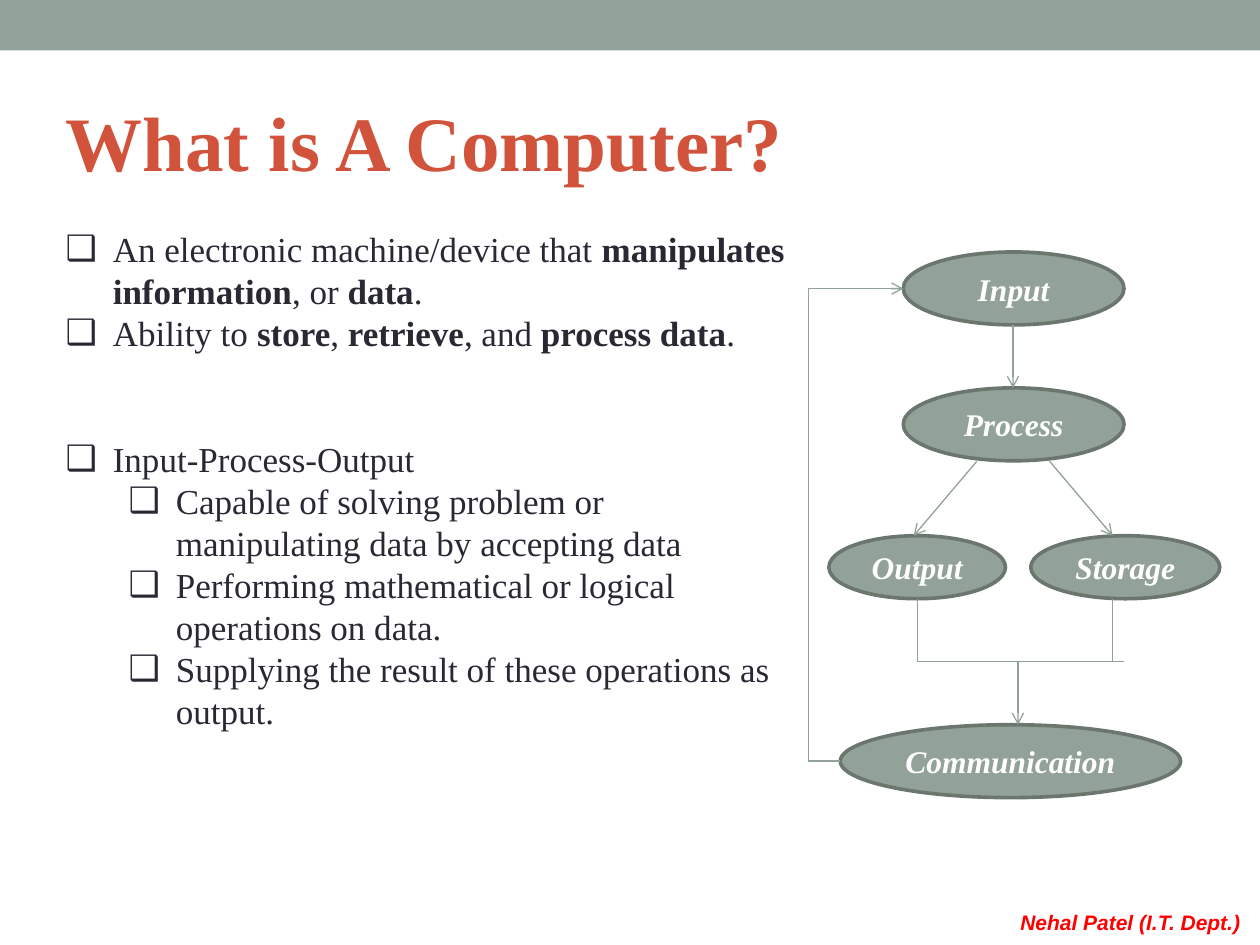
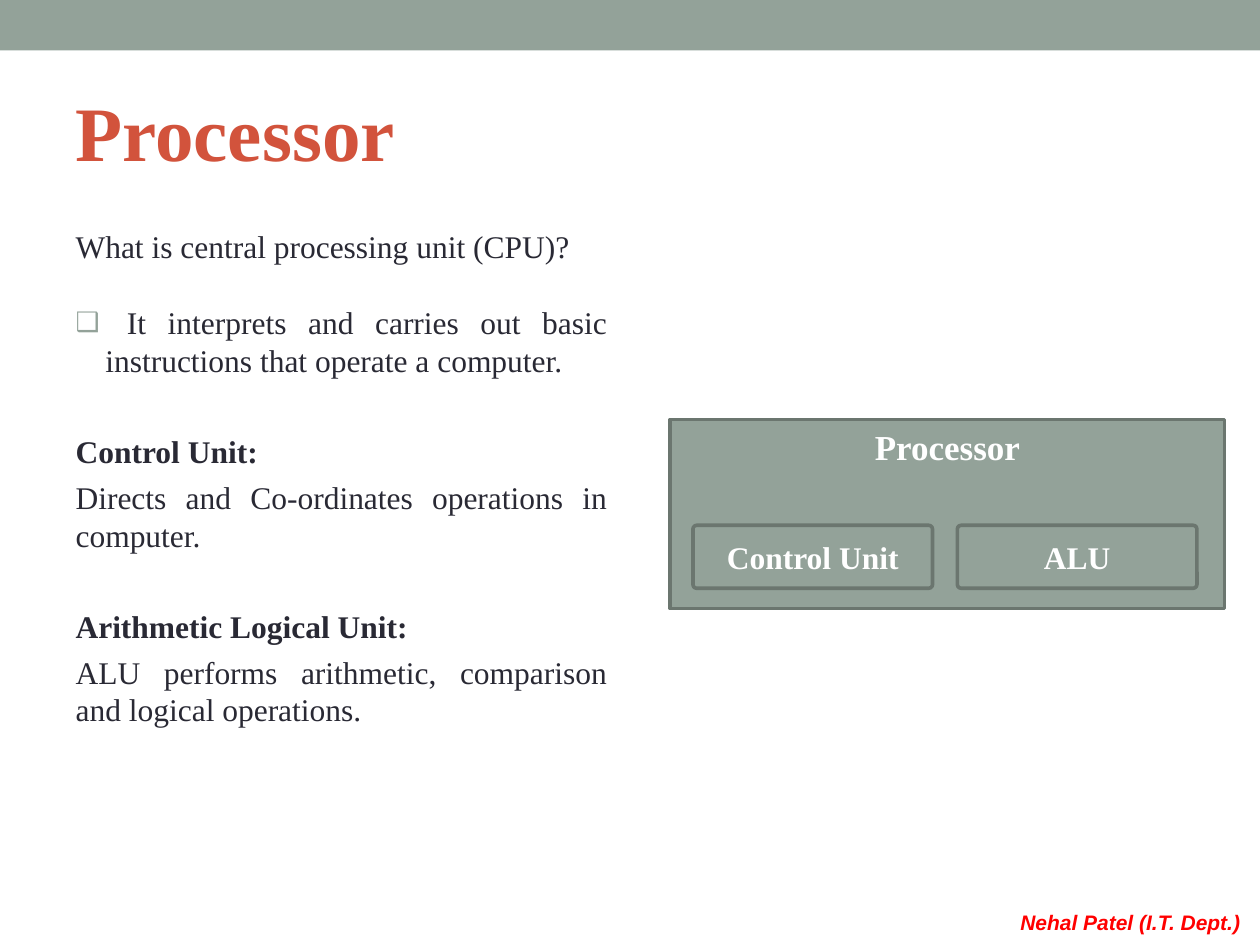
"""Build two slides on what a computer and its processor are."""
from dataclasses import dataclass, field
from typing import Any

from lxml.etree import SubElement as Sub
from pptx import Presentation
from pptx.dml.color import RGBColor as Rgb
from pptx.enum.shapes import MSO_CONNECTOR as Link, MSO_SHAPE as Form
from pptx.enum.text import MSO_ANCHOR as Anchor, MSO_AUTO_SIZE as Fit, PP_ALIGN as Align
from pptx.oxml.ns import qn
from pptx.util import Cm, Pt

HUES = {"sage": "93A299", "edge": "6B766F", "rust": "D2533C",
        "ink": "292934", "white": "FFFFFF", "red": "FF0000"}
SERIF = "Times New Roman"
HEAD = {"name": SERIF, "size": Pt(44), "bold": True}
FOOT = {"name": "Arial", "size": Pt(12), "bold": True, "italic": True}
NODE = {"name": SERIF, "size": Pt(18), "bold": True}
OVAL = {**NODE, "italic": True}
FRAME = {**NODE, "size": Pt(20)}


@dataclass
class Area:
    left: float
    top: float
    width: float
    height: float

    def cms(self) -> list[Cm]:
        return [Cm(v) for v in (self.left, self.top, self.width, self.height)]


@dataclass
class Node:
    text: str
    area: Area
    form: Any = Form.OVAL
    style: dict = field(default_factory=lambda: OVAL)
    anchor: Any = Anchor.MIDDLE


@dataclass
class Wire:
    start: tuple[float, float]
    end: tuple[float, float]
    arrow: bool = False
    bend: int = 0


@dataclass
class Item:
    text: str
    gap: float = 0
    level: int = 0
    inset: float = 0
    hang: float = 0
    mark: str = ""
    scale: int = 100


def point(text: str, gap: float = 0, level: int = 0) -> Item:
    return Item(text, gap, level, 0.95 + 1.27 * level, 0.95, "ink")


FACTS = [
    point("An electronic machine/device that **manipulates information**, or **data**."),
    point("Ability to **store**, **retrieve**, and **process data**."),
    point("Input-Process-Output", 48),
    point("Capable of solving problem or manipulating data by accepting data", level=1),
    point("Performing mathematical or logical operations on data.", level=1),
    point("Supplying the result of these operations as output.", level=1),
]
UNITS = [
    Item("What is central processing unit (CPU)?"),
    Item(" It interprets and carries out basic instructions that operate a computer.",
         22, inset=0.6, hang=0.6, mark="sage", scale=85),
    Item("**Control Unit:**", 30.5),
    Item("Directs and Co-ordinates operations in computer.", 4.5),
    Item("**Arithmetic Logical Unit:**", 30.5),
    Item("ALU performs arithmetic, comparison and logical operations.", 4.5),
]
STEPS = [
    Node("Input", Area(18.21, 5.08, 4.45, 1.47)),
    Node("Process", Area(18.21, 7.82, 4.45, 1.47)),
    Node("Output", Area(16.71, 10.8, 3.56, 1.27)),
    Node("Storage", Area(20.78, 10.8, 3.81, 1.27)),
    Node("Communication", Area(16.94, 14.61, 6.86, 1.47)),
]
WIRES = [
    Wire((20.42, 6.55), (20.42, 7.82), True),
    Wire((19.69, 9.3), (18.42, 10.8), True),
    Wire((21.16, 9.3), (22.43, 10.8), True),
    Wire((18.49, 12.07), (18.49, 13.34)),
    Wire((22.43, 12.07), (22.43, 13.34)),
    Wire((18.49, 13.34), (22.66, 13.34)),
    Wire((20.52, 13.34), (20.52, 14.61), True),
    Wire((16.94, 15.34), (18.21, 5.82), True, -50000),
]
CHIP = [Node("Processor", Area(13.51, 8.46, 11.18, 3.81), Form.RECTANGLE, FRAME, Anchor.TOP)]
CHIP += [Node(text, Area(13.97 + 5.33 * i, 10.59, 4.83, 1.27), Form.ROUNDED_RECTANGLE, NODE)
         for i, text in enumerate(("Control Unit", "ALU"))]


def tint(hue: str) -> Rgb:
    return Rgb.from_string(HUES[hue])


def dress(font: Any, style: dict, hue: str) -> None:
    for key, value in style.items():
        setattr(font, key, value)
    font.color.rgb = tint(hue)


def place(shape: Any, area: Area) -> None:
    shape.left, shape.top, shape.width, shape.height = area.cms()


def add_band(slide: Any, layout: Any) -> None:
    band = slide.shapes.add_shape(Form.RECTANGLE, *Area(0, 0, 25.4, 1.02).cms())
    band.shadow.inherit = False
    band.fill.solid()
    band.fill.fore_color.rgb = tint("sage")
    band.line.fill.background()
    layout.shapes.element.append(band.element)


def add_title(slide: Any, text: str, left: float, top: float) -> None:
    title = slide.shapes.title
    place(title, Area(left, top, 22.86, 2.74))
    frame = title.text_frame
    frame.text = text
    frame.auto_size = Fit.NONE
    frame.vertical_anchor = Anchor.MIDDLE
    para = frame.paragraphs[0]
    para.alignment = Align.LEFT
    dress(para.runs[0].font, HEAD, "rust")


def set_mark(para: Any, item: Item) -> None:
    props = para._p.get_or_add_pPr()
    props.set("marL", str(Cm(item.inset)))
    props.set("indent", str(-Cm(item.hang)))
    if not item.mark:
        Sub(props, qn("a:buNone"))
        return
    Sub(Sub(props, qn("a:buClr")), qn("a:srgbClr"), val=HUES[item.mark])
    Sub(props, qn("a:buSzPct"), val=str(item.scale * 1000))
    Sub(props, qn("a:buFont"), typeface="Arial")
    Sub(props, qn("a:buChar"), char="❑")


def add_list(slide: Any, area: Area, items: list[Item], size: int, align: Any) -> None:
    body = slide.placeholders[1]
    place(body, area)
    frame = body.text_frame
    frame.auto_size = Fit.NONE
    for i, item in enumerate(items):
        para = frame.add_paragraph() if i else frame.paragraphs[0]
        set_mark(para, item)
        look = {"level": item.level, "alignment": align, "space_before": Pt(item.gap)}
        for key, value in look.items():
            setattr(para, key, value)
        for j, part in enumerate(item.text.split("**")):
            if part:
                run = para.add_run()
                run.text = part
                dress(run.font, {"name": SERIF, "size": Pt(size), "bold": j % 2 == 1}, "ink")


def add_node(slide: Any, node: Node) -> None:
    shape = slide.shapes.add_shape(node.form, *node.area.cms())
    shape.shadow.inherit = False
    shape.fill.solid()
    shape.fill.fore_color.rgb = tint("sage")
    shape.line.color.rgb = tint("edge")
    shape.line.width = Pt(2.07)
    if node.form == Form.ROUNDED_RECTANGLE:
        shape.adjustments[0] = 0.06
    frame = shape.text_frame
    frame.text = node.text
    frame.word_wrap = True
    frame.vertical_anchor = node.anchor
    para = frame.paragraphs[0]
    para.alignment = Align.CENTER
    dress(para.runs[0].font, node.style, "white")


def add_wire(slide: Any, wire: Wire) -> None:
    kind = Link.ELBOW if wire.bend else Link.STRAIGHT
    ends = [Cm(v) for v in (*wire.start, *wire.end)]
    link = slide.shapes.add_connector(kind, *ends)
    link.line.color.rgb = tint("sage")
    link.line.width = Pt(0.75)
    props = link.element.spPr
    if wire.arrow:
        Sub(props.find(qn("a:ln")), qn("a:tailEnd"), type="arrow")
    if wire.bend:
        guides = props.find(qn("a:prstGeom")).find(qn("a:avLst"))
        Sub(guides, qn("a:gd"), name="adj1", fmla=f"val {wire.bend}")
    Sub(props, qn("a:effectLst"))


def add_foot(slide: Any) -> None:
    box = slide.shapes.add_textbox(*Area(20.32, 18.21, 4.98, 0.76).cms())
    frame = box.text_frame
    frame.text = "Nehal Patel (I.T. Dept.)"
    frame.word_wrap = False
    frame.auto_size = Fit.SHAPE_TO_FIT_TEXT
    dress(frame.paragraphs[0].runs[0].font, FOOT, "red")


def main() -> None:
    deck = Presentation()
    deck.slide_width, deck.slide_height = Cm(25.4), Cm(19.05)
    layout = deck.slide_layouts[1]
    first, second = (deck.slides.add_slide(layout) for _ in range(2))
    add_band(first, layout)

    add_title(first, "What is A Computer?", 1.07, 1.47)
    add_list(first, Area(1.07, 4.45, 15.06, 10.41), FACTS, 20, Align.LEFT)
    for step in STEPS:
        add_node(first, step)
    for wire in WIRES:
        add_wire(first, wire)

    add_title(second, "Processor", 1.27, 1.27)
    add_list(second, Area(1.27, 4.45, 11.23, 12.07), UNITS, 18, Align.JUSTIFY)
    for part in CHIP:
        add_node(second, part)

    for slide in (first, second):
        add_foot(slide)
    deck.save("out.pptx")


if __name__ == "__main__":
    main()
